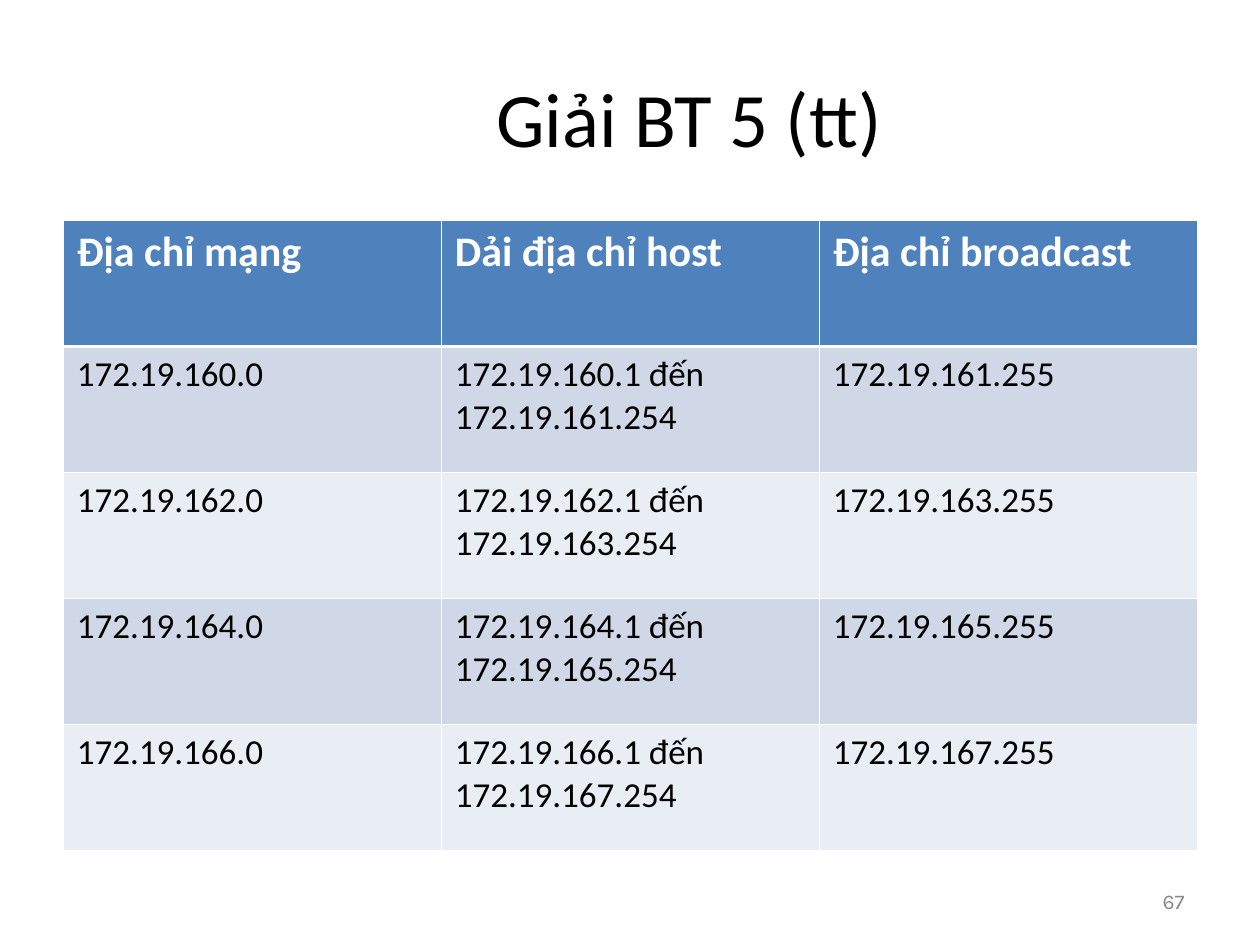
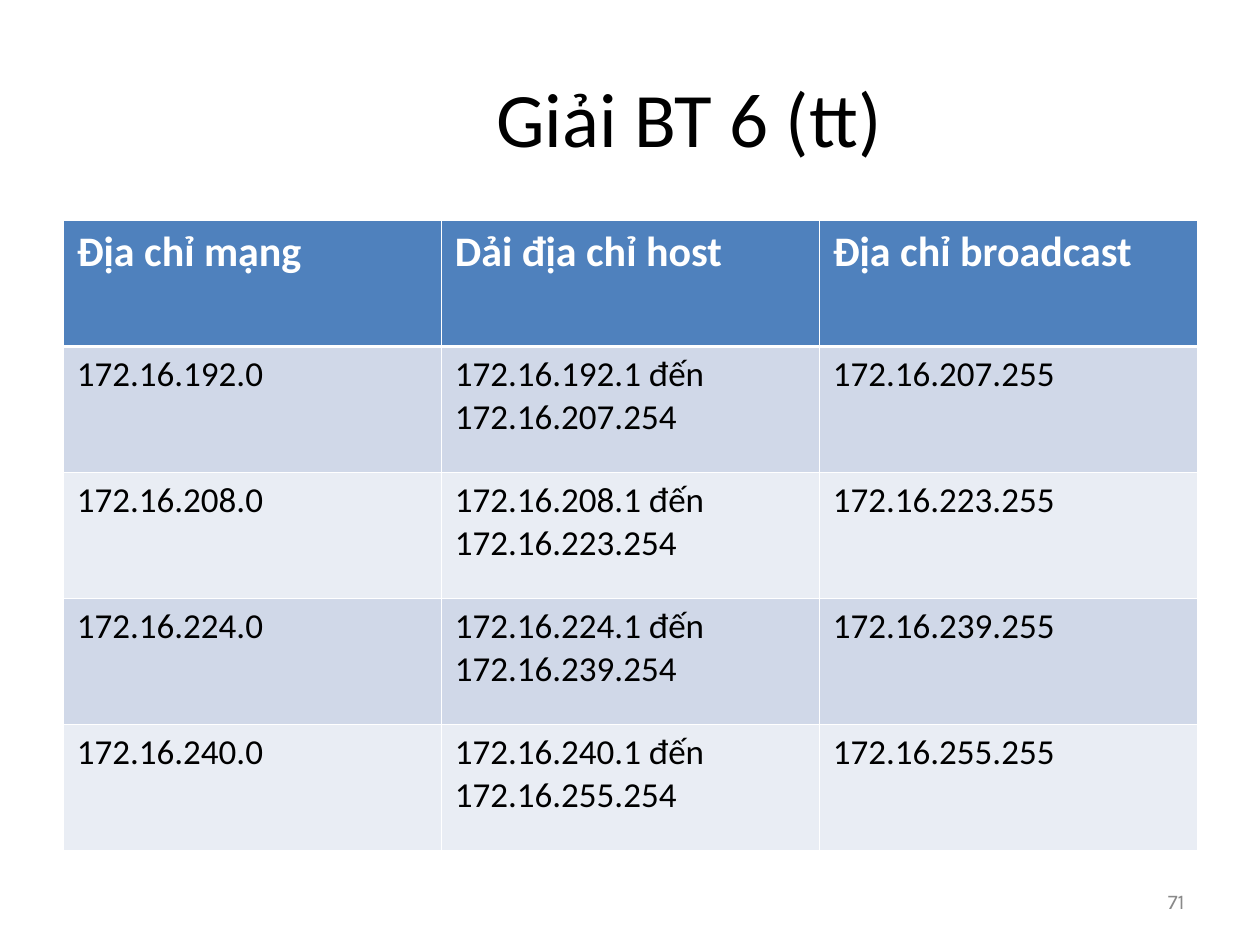
from lxml.etree import SubElement
from pptx import Presentation
from pptx.dml.color import RGBColor
from pptx.enum.text import MSO_ANCHOR as Anchor, PP_ALIGN as Align
from pptx.oxml.ns import qn
from pptx.util import Inches, Pt

COLORS = {
    "text": "000000",
    "header": "4F81BD",
    "header_text": "FFFFFF",
    "odd_row": "D0D8E8",
    "even_row": "E9EDF4",
    "border": "FFFFFF",
    "page_number": "898989",
}
HEADINGS = ["Địa chỉ mạng", "Dải địa chỉ host", "Địa chỉ broadcast"]
SUBNET_COUNT = 4
THIN, THICK = 0.45, 1.47

# title, network prefix, first third octet, third octets per subnet, page number
SOLUTIONS = [
    ("Giải BT 5 (tt)", "172.19", 160, 2, "67"),
    ("Giải BT 6 (tt)", "172.16", 192, 16, "71"),
]


def write(frame, text, size, color, font="Calibri", align=Align.LEFT, bold=False):
    paragraph = frame.paragraphs[0]
    paragraph.text = text
    paragraph.alignment = align
    paragraph.font.name = font
    paragraph.font.size = Pt(size)
    paragraph.font.bold = bold
    paragraph.font.color.rgb = RGBColor.from_string(COLORS[color])


def add_text(slide, box, *style, **options):
    """Add a vertically centred text box; box is left, top, width, height in inches."""
    frame = slide.shapes.add_textbox(*map(Inches, box)).text_frame
    frame.word_wrap = True
    frame.vertical_anchor = Anchor.MIDDLE
    write(frame, *style, **options)


prs = Presentation()
prs.slide_width, prs.slide_height = Inches(10), Inches(7.5)
blank = prs.slide_layouts[6]

for title, prefix, first, step, page_number in SOLUTIONS:
    slide = prs.slides.add_slide(blank)
    add_text(slide, (1.17, 0.3, 8.6, 1.25), title, 44, "text", align=Align.CENTER)

    rows = [HEADINGS]
    for network in range(first, first + SUBNET_COUNT * step, step):
        last = network + step - 1
        rows.append([
            f"{prefix}.{network}.0",
            f"{prefix}.{network}.1 đến {prefix}.{last}.254",
            f"{prefix}.{last}.255",
        ])

    subnets = slide.shapes.add_table(
        len(rows), len(HEADINGS), Inches(0.5), Inches(1.75), Inches(9), Inches(5)
    ).table
    for r, row in enumerate(rows):
        is_header = r == 0
        fill = "header" if is_header else "odd_row" if r % 2 else "even_row"
        borders = {
            "lnL": THIN,
            "lnR": THIN,
            "lnT": THICK if r == 1 else THIN,
            "lnB": THICK if is_header else THIN,
        }
        for c, text in enumerate(row):
            cell = subnets.cell(r, c)
            cell.margin_left = cell.margin_right = Inches(0.11)
            cell.margin_top = cell.margin_bottom = Inches(0.05)
            properties = cell._tc.get_or_add_tcPr()
            for side, width in borders.items():
                line = SubElement(properties, qn(f"a:{side}"), w=str(Pt(width)))
                solid = SubElement(line, qn("a:solidFill"))
                SubElement(solid, qn("a:srgbClr"), val=COLORS["border"])
            cell.fill.solid()
            cell.fill.fore_color.rgb = RGBColor.from_string(COLORS[fill])
            if is_header:
                write(cell.text_frame, text, 24, "header_text", bold=True)
            else:
                write(cell.text_frame, text, 20, "text")

    add_text(slide, (7.17, 6.95, 2.33, 0.4), page_number, 12, "page_number",
             font="Karla", align=Align.RIGHT)

prs.save("out.pptx")
